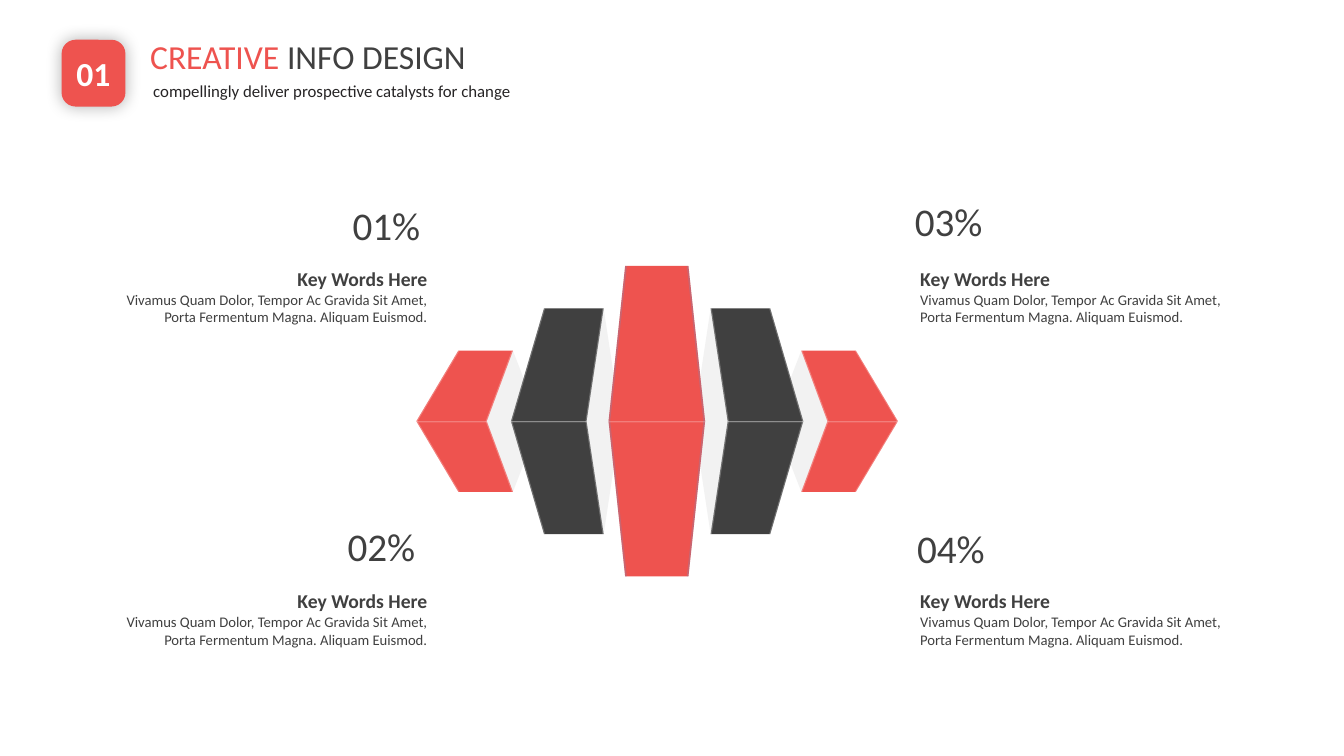
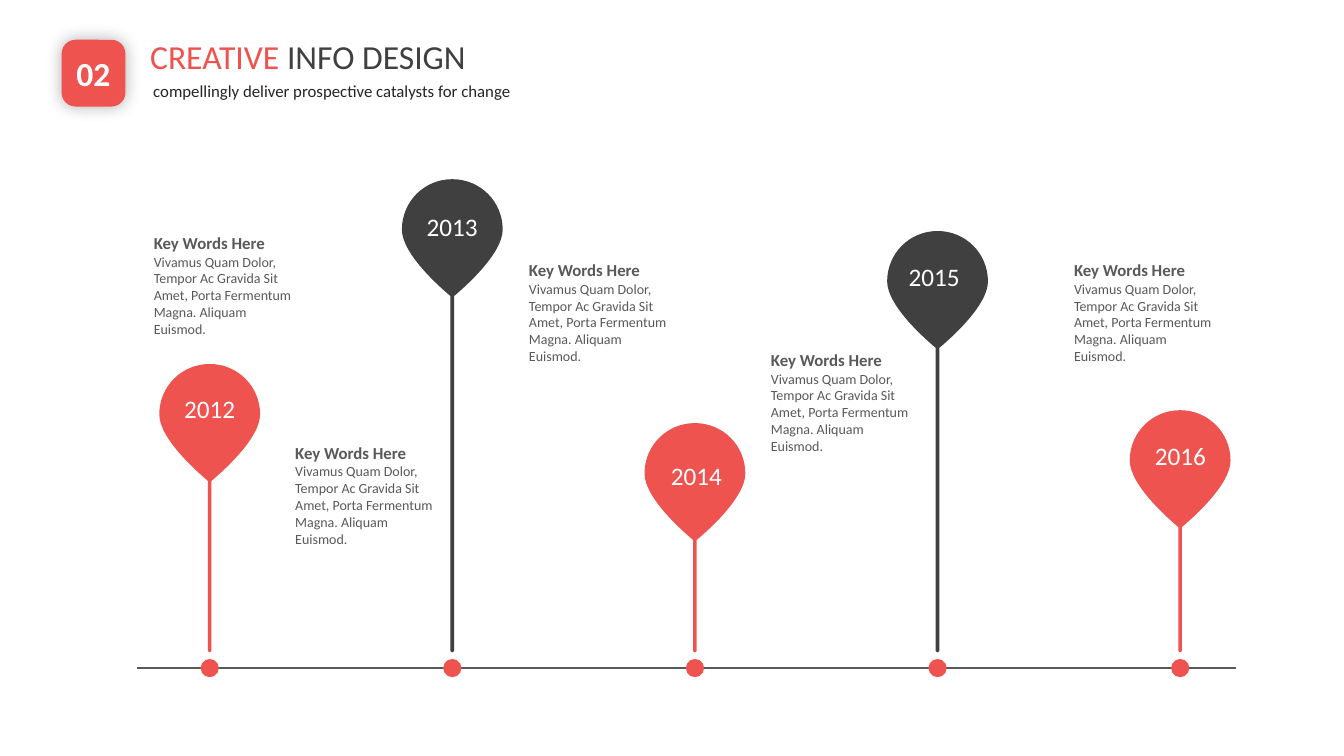
from dataclasses import dataclass

from lxml.etree import SubElement
from pptx import Presentation
from pptx.dml.color import RGBColor
from pptx.enum.shapes import MSO_CONNECTOR, MSO_SHAPE
from pptx.enum.text import MSO_ANCHOR, MSO_AUTO_SIZE, PP_ALIGN
from pptx.oxml.ns import qn
from pptx.util import Pt

RED, DARK, GREY, INK = "EE534F", "404040", "595959", "262425"
WHITE, PALE, BLUE = "FFFFFF", "F2F2F2", "5B9BD5"
FONT = "Calibri"
HEAD = "Key Words Here"
BODY = ("Vivamus Quam Dolor, Tempor Ac Gravida Sit Amet, "
        "Porta Fermentum Magna. Aliquam Euismod.")
MID_X, MID_Y = 469.4, 300.9
EDGE = 0.8
BASE_Y = 477.2
STEM_END = 466
FIRST_X, STEP = 149.8, 173.3


@dataclass
class Shard:
    """Distances from the centre of the figure; back is the far tip of the pale fold."""
    tip_out: float
    tip_in: float
    top_out: float
    top_in: float
    half: float
    color: str
    back: float | None = None
    edge: str = WHITE
    rim: float = EDGE


@dataclass
class Fact:
    rate: str
    rate_x: float
    rate_y: float
    left: float
    top: float
    align: PP_ALIGN


@dataclass
class Pin:
    year: str
    top: float
    color: str
    year_x: float
    year_y: float


OUTER = Shard(172, 121.7, 142, 103, 50.4, RED, 83.5)
INNER = Shard(104.4, 50.4, 80.8, 38.2, 80.6, DARK, 26)
CORE = Shard(34.3, -34.7, 22.4, -22.8, 110.9, RED, edge=BLUE, rim=1.2)
FACTS = [
    Fact("01%", 244.8, 140.4, 73.4, 170.5, PP_ALIGN.RIGHT),
    Fact("02%", 241.2, 369.4, 73.4, 400.5, PP_ALIGN.RIGHT),
    Fact("03%", 646.4, 137.5, 650.2, 170.5, PP_ALIGN.LEFT),
    Fact("04%", 648, 370.8, 650.2, 400.5, PP_ALIGN.LEFT),
]
PINS = [
    Pin("2012", 260, RED, 118, 277.2),
    Pin("2013", 128, DARK, 291.3, 147.6),
    Pin("2014", 302.2, RED, 465.8, 325),
    Pin("2015", 165, DARK, 635.6, 182.9),
    Pin("2016", 293, RED, 811.5, 311),
]
NOTES = [(102.8, 148.5), (203.8, 298.2), (543.6, 232), (370.8, 167.8), (760.1, 167.8)]


def paint(shape, color: str, alpha: int = 100):
    """Fill a shape flat, with no outline and no shadow."""
    shape.shadow.inherit = False
    shape.line.fill.background()
    shape.fill.solid()
    shape.fill.fore_color.rgb = RGBColor.from_string(color)
    if alpha < 100:
        tint = shape.fill._xPr.find(".//" + qn("a:srgbClr"))
        SubElement(tint, qn("a:alpha"), val=str(alpha * 1000))


def write(para, text: str, *, size: float, color: str, bold: bool = False,
          align: PP_ALIGN = PP_ALIGN.LEFT, lines: float | None = None):
    run = para.add_run()
    run.text = text
    run.font.name = FONT
    run.font.size = Pt(size)
    run.font.bold = bold
    run.font.color.rgb = RGBColor.from_string(color)
    para.alignment = align
    para.line_spacing = lines


def frame(slide, left: float, top: float, width: float, height: float):
    box = slide.shapes.add_textbox(Pt(left), Pt(top), Pt(width), Pt(height))
    box.text_frame.word_wrap = True
    return box.text_frame


def note(slide, left: float, top: float, width: float, height: float, *,
         head: float, body: float, color: str, align: PP_ALIGN = PP_ALIGN.LEFT):
    text = frame(slide, left, top, width, height)
    write(text.paragraphs[0], HEAD, size=head, color=color, bold=True,
          align=align, lines=2.0)
    write(text.add_paragraph(), BODY, size=body, color=color, align=align)


def draw(slide, dots: list[tuple[float, float]], color: str, alpha: int = 100):
    """Draw a closed outline through points given in points."""
    first, *rest = [(Pt(x), Pt(y)) for x, y in dots]
    path = slide.shapes.build_freeform(*first)
    path.add_line_segments(rest, close=True)
    shape = path.convert_to_shape()
    paint(shape, color, alpha)
    return shape


def bend(shape):
    """Turn each three straight segments of an outline into one Bezier curve."""
    track = shape._element.spPr.find(".//" + qn("a:path"))
    legs = track.findall(qn("a:lnTo"))
    for i in range(0, len(legs), 3):
        curve = SubElement(track, qn("a:cubicBezTo"))
        legs[i].addprevious(curve)
        for leg in legs[i:i + 3]:
            curve.append(leg[0])
            track.remove(leg)


def start(deck, number: str):
    """Add a slide with its badge, title and subtitle."""
    slide = deck.slides.add_slide(deck.slide_layouts[5])
    title = slide.shapes.title
    title.left, title.top, title.width, title.height = map(Pt, (100, 15.1, 259, 50.4))
    text = title.text_frame
    text.auto_size = MSO_AUTO_SIZE.NONE
    text.vertical_anchor = MSO_ANCHOR.MIDDLE
    write(text.paragraphs[0], "CREATIVE", size=24, color=RED)
    write(text.paragraphs[0], " INFO DESIGN", size=24, color=DARK)
    write(frame(slide, 102.4, 54, 288, 21.6).paragraphs[0],
          "compellingly deliver prospective catalysts for change",
          size=12, color=INK, align=PP_ALIGN.JUSTIFY)

    badge = slide.shapes.add_shape(MSO_SHAPE.ROUNDED_RECTANGLE,
                                   Pt(44), Pt(28.4), Pt(45.6), Pt(47.7))
    badge.adjustments[0] = 0.22
    paint(badge, RED)
    glow = SubElement(badge._element.spPr.find(qn("a:effectLst")), qn("a:outerShdw"),
                      blurRad=str(Pt(12)), dist="0", dir="0", algn="ctr", rotWithShape="0")
    tint = SubElement(glow, qn("a:srgbClr"), val="000000")
    SubElement(tint, qn("a:alpha"), val="30000")
    text = badge.text_frame
    text.vertical_anchor = MSO_ANCHOR.MIDDLE
    write(text.paragraphs[0], number, size=24, color=WHITE, bold=True,
          align=PP_ALIGN.CENTER)
    return slide


def fold(slide, shard: Shard, side: int):
    """Draw a shard on the right (side 1) or the left (side -1) of the centre."""
    def place(*dots):
        return [(MID_X + side * x, MID_Y + y) for x, y in dots]

    def rim(tip: float, top: float, shift: float):
        high, low = shard.half, -shard.half
        draw(slide, place((top, low), (tip, 0), (top, high), (top + shift, high),
                          (tip + shift, 0), (top + shift, low)), shard.edge, 25)

    if shard.back is not None:
        draw(slide, place((shard.tip_in, 0), (shard.top_in, -shard.half),
                          (shard.back, 0), (shard.top_in, shard.half)), PALE)
    for high in (-shard.half, shard.half):
        draw(slide, place((shard.tip_in, 0), (shard.top_in, high),
                          (shard.top_out, high), (shard.tip_out, 0)), shard.color)
    draw(slide, place((shard.tip_in, 0), (shard.tip_out, 0),
                      (shard.tip_out, EDGE), (shard.tip_in, EDGE)), WHITE, 25)
    rim(shard.tip_out, shard.top_out, -shard.rim)
    rim(shard.tip_in, shard.top_in, shard.rim)


def plant(slide, pin: Pin, x: float):
    """Draw a pin with its stem and its dot on the time line."""
    for size in (13, 5):
        dot = slide.shapes.add_shape(MSO_SHAPE.OVAL, Pt(x - size / 2),
                                     Pt(BASE_Y - size / 2), Pt(size), Pt(size))
        paint(dot, RED)
    foot = STEM_END - pin.top
    half = [(0, 0), (20, 0), (36, 16), (36, 36),
            (36, 53.8), (7.3, 78.4), (1.3, 83.5),
            (1.3, foot - 0.9), (1.3, foot - 0.9), (1.3, foot - 0.9),
            (1.3, foot - 0.4), (0.7, foot), (0, foot)]
    whole = half + [(-a, b) for a, b in half[-2::-1]]
    bend(draw(slide, [(x + a, pin.top + b) for a, b in whole], pin.color))


def rates(deck):
    slide = start(deck, "01")
    for side in (1, -1):
        for shard in (OUTER, INNER):
            fold(slide, shard, side)
    fold(slide, CORE, 1)
    for fact in FACTS:
        note(slide, fact.left, fact.top, 239, 67, head=14, body=10.5,
             color=DARK, align=fact.align)
        write(frame(slide, fact.rate_x, fact.rate_y, 69.8, 41).paragraphs[0],
              fact.rate, size=28, color=DARK)


def years(deck):
    slide = start(deck, "02")
    axis = slide.shapes.add_connector(MSO_CONNECTOR.STRAIGHT, Pt(98), Pt(BASE_Y),
                                      Pt(882.8), Pt(BASE_Y))
    axis.line.color.rgb = RGBColor.from_string(GREY)
    axis.line.width = Pt(1.38)
    SubElement(axis._element.spPr, qn("a:effectLst"))
    for i, pin in enumerate(PINS):
        plant(slide, pin, FIRST_X + i * STEP)
    for left, top in NOTES:
        note(slide, left, top, 119.5, 100, head=12, body=10, color=GREY)
    for pin in PINS:
        write(frame(slide, pin.year_x, pin.year_y, 63.4, 28.8).paragraphs[0],
              pin.year, size=18, color=WHITE, align=PP_ALIGN.CENTER)


def main():
    deck = Presentation()
    deck.slide_width, deck.slide_height = Pt(960), Pt(540)
    rates(deck)
    years(deck)
    deck.save("out.pptx")


if __name__ == "__main__":
    main()
